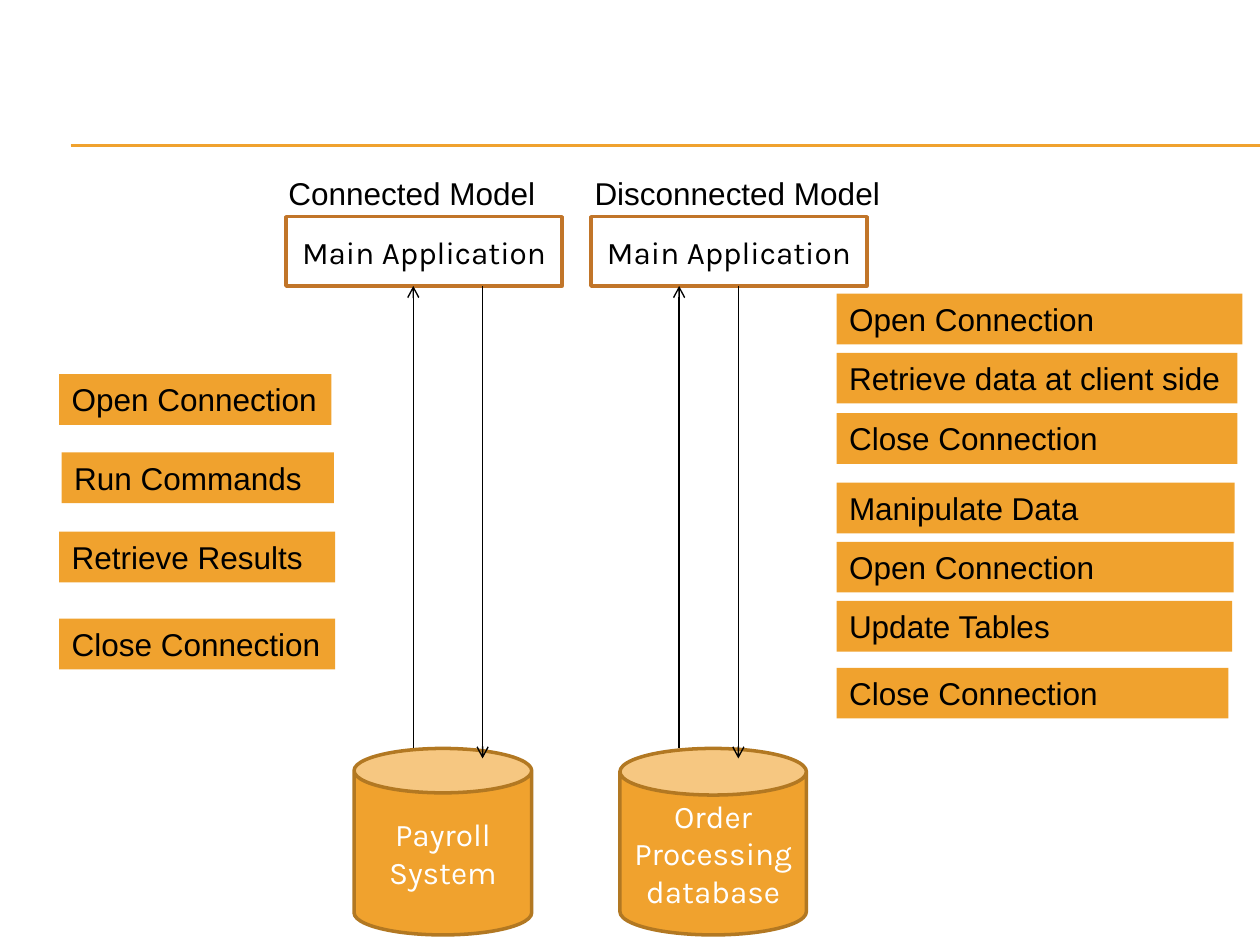
from dataclasses import dataclass

from lxml import etree
from pptx import Presentation
from pptx.dml.color import RGBColor
from pptx.enum import shapes, text
from pptx.oxml.ns import qn
from pptx.util import Inches, Pt


@dataclass(frozen=True)
class Theme:
    amber: str = "F0A22E"
    can_edge: str = "B27822"
    app_edge: str = "C17529"
    white: str = "FFFFFF"
    black: str = "000000"
    body: str = "Arial"
    label: str = "Karla"
    size: float = 18
    edge: float = 2
    rule: float = 0.75
    arrow: float = 0.79


@dataclass(frozen=True)
class Box:
    x: float
    y: float
    w: float
    h: float

    def inner(self, dx, dy, w, h):
        return Box(self.x + dx, self.y + dy, w, h)


T = Theme()
COLS, ROWS = 100, 75  # square grid over the slide
STEP_H = 4.03

prs = Presentation()
prs.slide_width, prs.slide_height = Inches(10), Inches(7.5)


def col(n):
    return round(prs.slide_width * n / COLS)


def row(n):
    return round(prs.slide_height * n / ROWS)


def place(box):
    return col(box.x), row(box.y), col(box.w), row(box.h)


def rgb(value):
    return RGBColor.from_string(value)


def write(sp, words, font, color, align):
    tf = sp.text_frame
    tf.word_wrap = True
    tf.text = words
    p = tf.paragraphs[0]
    p.alignment = align
    f = p.runs[0].font
    f.name, f.size, f.color.rgb = font, Pt(T.size), rgb(color)
    return tf


def add_block(slide, kind, box, words, fill, edge, color):
    """Outlined shape with a centred label."""
    sp = slide.shapes.add_shape(kind, *place(box))
    sp.shadow.inherit = False
    sp.fill.solid()
    sp.fill.fore_color.rgb = rgb(fill)
    sp.line.color.rgb = rgb(edge)
    sp.line.width = Pt(T.edge)
    tf = write(sp, words, T.label, color, text.PP_ALIGN.CENTER)
    tf.vertical_anchor = text.MSO_ANCHOR.MIDDLE


def add_caption(slide, box, words, fill=None):
    """Left-aligned text box, filled when it is a step."""
    sp = slide.shapes.add_textbox(*place(box))
    if fill:
        sp.fill.solid()
        sp.fill.fore_color.rgb = rgb(fill)
    tf = write(sp, words, T.body, T.black, text.PP_ALIGN.LEFT)
    tf.margin_right = 0


def add_line(slide, start, end, color, width, arrow=False):
    ln = slide.shapes.add_connector(
        shapes.MSO_CONNECTOR.STRAIGHT,
        col(start[0]), row(start[1]), col(end[0]), row(end[1]))
    ln.line.color.rgb = rgb(color)
    ln.line.width = Pt(width)
    sp_pr = ln._element.spPr
    if arrow:
        etree.SubElement(sp_pr.get_or_add_ln(), qn("a:tailEnd"), type="arrow")
    etree.SubElement(sp_pr, qn("a:effectLst"))


def add_header_rule(slide, box):
    for y in (box.y, box.y + box.h):
        add_line(slide, (box.x, y), (box.x + box.w, y), T.amber, T.rule)


def add_model(slide, box, title, title_dx, title_w, can, store, up, down):
    """Title, application, database and the two arrows between them."""
    app = box.inner(0, 3.9, box.w, 5.5)
    can_x, can_w = can
    db = box.inner(can_x, box.h - 14.8, can_w, 14.8)
    add_block(slide, shapes.MSO_SHAPE.RECTANGLE, app, "Main Application",
              T.white, T.app_edge, T.black)
    add_block(slide, shapes.MSO_SHAPE.CAN, db, store,
              T.amber, T.can_edge, T.white)
    # Calls go up, data comes down onto the lid
    foot = app.y + app.h
    add_line(slide, (box.x + up, db.y), (box.x + up, foot),
             T.black, T.arrow, True)
    add_line(slide, (box.x + down, foot), (box.x + down, db.y + 0.8),
             T.black, T.arrow, True)
    add_caption(slide, box.inner(title_dx, 0, title_w, STEP_H), title)


def add_steps(slide, box, steps):
    """Each step: words, offset down, change in width, offset right."""
    for words, dy, dw, dx in steps:
        add_caption(slide, box.inner(dx, dy, box.w + dw, STEP_H), words, T.amber)


slide = prs.slides.add_slide(prs.slide_layouts[6])

# Header rule
add_header_rule(slide, Box(5.6, 11.5, 94.4, 0.1))

# Two models side by side
add_model(slide, Box(22.7, 13.3, 21.9, 60.9), "Connected Model", -0.8, 21.8,
          (5.4, 14.1), "Payroll System", up=10.1, down=15.6)
add_model(slide, Box(46.9, 13.3, 21.9, 60.9), "Disconnected Model", -0.7, 24.9,
          (2.3, 14.8), "Order Processing database", up=7, down=11.7)

# Steps of the connected model
add_steps(slide, Box(4.7, 29.7, 21.9, 23.4), [
    ("Open Connection", 0, -0.3, 0),
    ("Run Commands", 6.2, -0.3, 0.2),
    ("Retrieve Results", 12.5, 0, 0),
    ("Close Connection", 19.4, 0, 0),
])

# Steps of the disconnected model
add_steps(slide, Box(66.4, 23.3, 32.2, 33.7), [
    ("Open Connection", 0, 0, 0),
    ("Retrieve data at client side", 4.7, -0.4, 0),
    ("Close Connection", 9.5, -0.4, 0),
    ("Manipulate Data", 15, -0.6, 0),
    ("Open Connection", 19.7, -0.7, 0),
    ("Update Tables", 24.4, -0.8, 0),
    ("Close Connection", 29.7, -1.1, 0),
])

prs.save("out.pptx")
